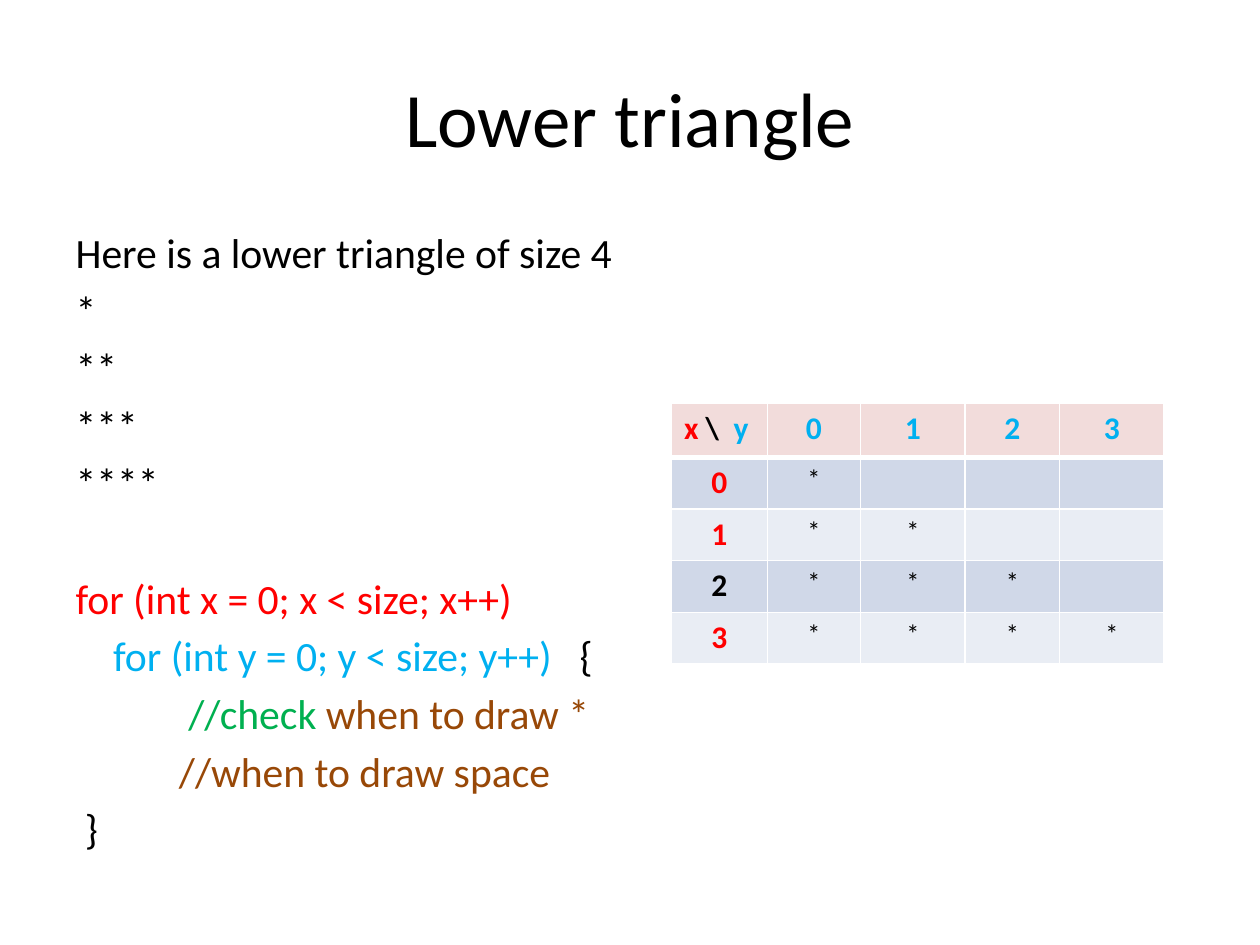
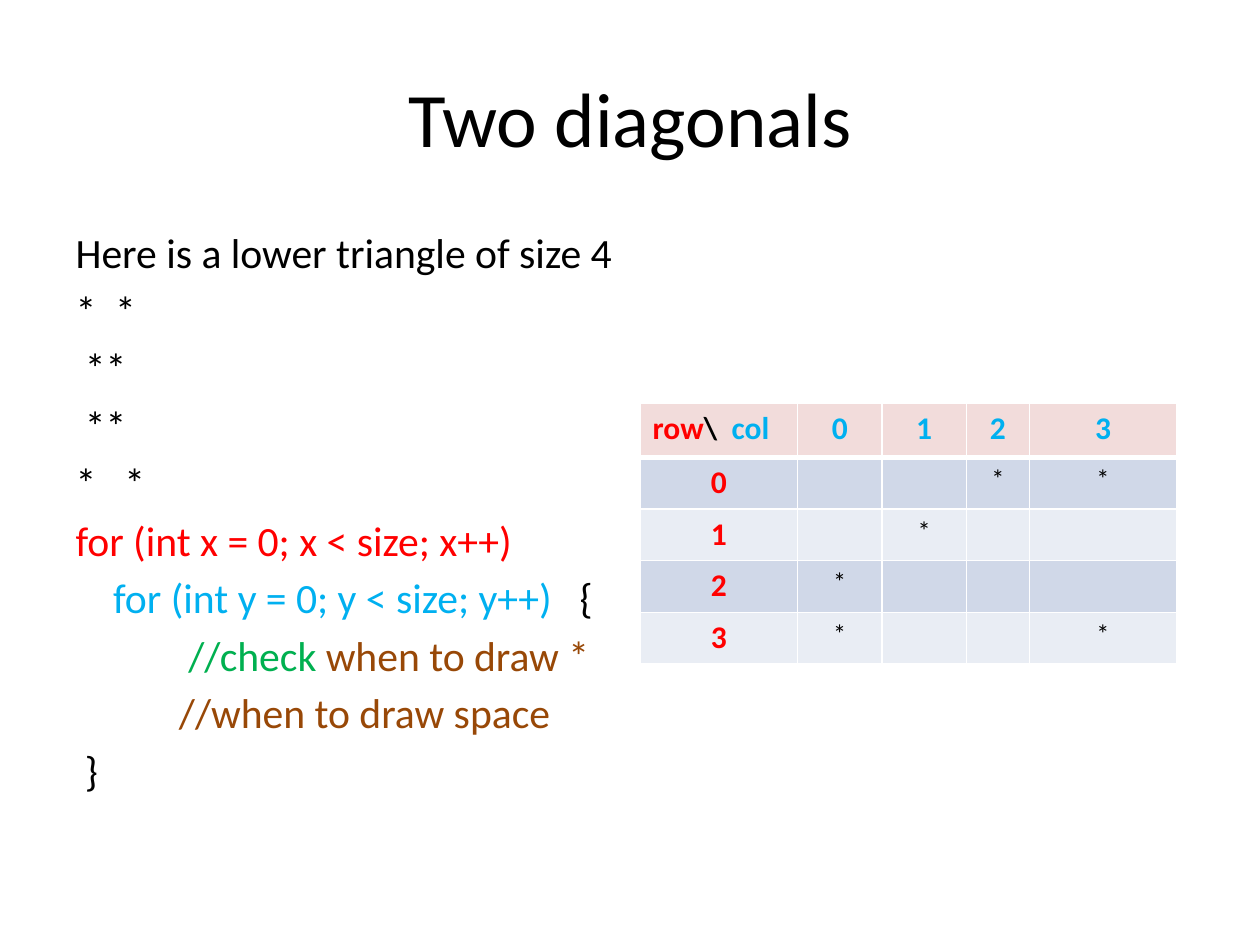
from lxml import etree
from pptx import Presentation
from pptx import util as u
from pptx.dml.color import RGBColor
from pptx.enum import text
from pptx.oxml.ns import qn

COLORS = {
    "ink": "000000", "outer": "FF0000", "inner": "00B0F0",
    "check": "00B050", "comment": "984807", "line": "FFFFFF",
    "header": "F2DCDB", "odd": "D0D8E8", "even": "E9EDF4",
}
FONT = "Calibri"
WIDTH, HEIGHT = u.Inches(10), u.Inches(7.5)

# Regions as shares of the slide: left, top, width, height
TITLE_BOX = (0.05, 0.04, 0.9, 1 / 6)
BODY_BOX = (0.05, 0.7 / 3, 0.475, 0.66)
TABLE_TOP = 3.2 / 7.5
HEADER_ROW, BODY_ROW = 0.43 / 7.5, 0.41 / 7.5

LINE_GAP, BLOCK_GAP = 4.3, 37.6  # points before a line, before a new block

# Lines are lists of (wording, colour name)
INTRO = [("Here is a lower triangle of size 4", "ink")]
LOOP = [
    [("for (int x = 0; x < size; x++)", "outer")],
    [("    ", "ink"), ("for (int y = 0; y < size; y++)", "inner"), ("\t{", "ink")],
    [("            ", "comment"), ("//check ", "check"), ("when to draw *", "comment")],
    [("           //when to draw space", "comment")],
    [(" }", "ink")],
]

PAGES = [
    dict(title="Lower triangle", pattern=["*", "**", "***", "****"],
         loop_gap=BLOCK_GAP, left=0.533,
         columns=[0.076, 0.074, 0.083, 0.075, 0.083],
         corner=[("x", "outer"), (" \\  ", "ink"), ("y", "inner")],
         stars=["*", "**", "***", "****"], plain_rows=[2]),
    dict(title="Two diagonals", pattern=["*  *", " **", " **", "*   *"],
         loop_gap=LINE_GAP, left=0.508,
         columns=[0.125, 0.067, 0.067, 0.05, 0.117],
         corner=[("row", "outer"), ("\\  ", "ink"), ("col", "inner")],
         stars=["  **", " *", "*", "*  *"], plain_rows=[]),
]


def across(share):
    return round(WIDTH * share)


def down(share):
    return round(HEIGHT * share)


def place(shape, box):
    left, top, width, height = box
    shape.left, shape.top = across(left), down(top)
    shape.width, shape.height = across(width), down(height)


def write(para, spans, size, bold=False):
    for wording, color in spans:
        span = para.add_run()
        span.text = wording
        span.font.name, span.font.size, span.font.bold = FONT, u.Pt(size), bold
        span.font.color.rgb = RGBColor.from_string(COLORS[color])


def add_title(page, wording):
    title = page.shapes.title
    place(title, TITLE_BOX)
    title.text_frame.vertical_anchor = text.MSO_ANCHOR.MIDDLE
    para = title.text_frame.paragraphs[0]
    para.alignment = text.PP_ALIGN.CENTER
    write(para, [(wording, "ink")], 44)


def add_body(page, pattern, loop_gap):
    body = page.placeholders[1]
    place(body, BODY_BOX)
    frame = body.text_frame
    frame.auto_size = text.MSO_AUTO_SIZE.NONE
    lines = [INTRO] + [[(row, "ink")] for row in pattern] + LOOP
    for number, spans in enumerate(lines):
        para = frame.add_paragraph() if number else frame.paragraphs[0]
        # No bullet and no hanging indent
        props = para._p.get_or_add_pPr()
        props.set("marL", "0")
        props.set("indent", "0")
        etree.SubElement(props, qn("a:buNone"))
        gap = loop_gap if spans is LOOP[0] else LINE_GAP
        para.space_before = u.Pt(gap if number else 0)
        write(para, spans, 23.8)


def style_cell(cell, row, fill):
    # Borders come before the fill in the cell's properties
    props = cell._tc.get_or_add_tcPr()
    for side in "LRTB":
        heavy = (row, side) in ((0, "B"), (1, "T"))
        line = etree.SubElement(props, qn("a:ln" + side), w=str(u.Pt(3 if heavy else 1)))
        solid = etree.SubElement(line, qn("a:solidFill"))
        etree.SubElement(solid, qn("a:srgbClr"), val=COLORS["line"])
    cell.fill.solid()
    cell.fill.fore_color.rgb = RGBColor.from_string(COLORS[fill])


def add_star_table(page, left, columns, corner, stars, plain_rows):
    count = len(stars) + 1
    table = page.shapes.add_table(
        count, len(columns), across(left), down(TABLE_TOP), across(sum(columns)),
        down(HEADER_ROW + BODY_ROW * len(stars))).table
    for column, share in zip(table.columns, columns):
        column.width = across(share)
    for row in range(count):
        table.rows[row].height = down(BODY_ROW if row else HEADER_ROW)
        fill = "header" if row == 0 else "odd" if row % 2 else "even"
        for col in range(len(columns)):
            cell = table.cell(row, col)
            style_cell(cell, row, fill)
            para = cell.text_frame.paragraphs[0]
            if row == col == 0:
                write(para, corner, 18, True)
                continue
            para.alignment = text.PP_ALIGN.CENTER
            if row == 0:
                write(para, [(str(col - 1), "inner")], 18, True)
            elif col == 0:
                color = "ink" if row - 1 in plain_rows else "outer"
                write(para, [(str(row - 1), color)], 18, True)
            elif stars[row - 1][col - 1:col] == "*":
                write(para, [("*", "ink")], 15)


def add_page(deck, title, pattern, loop_gap, **table):
    page = deck.slides.add_slide(deck.slide_layouts[1])
    add_title(page, title)
    add_body(page, pattern, loop_gap)
    add_star_table(page, **table)


def main():
    deck = Presentation()
    deck.slide_width, deck.slide_height = WIDTH, HEIGHT
    for content in PAGES:
        add_page(deck, **content)
    deck.save("out.pptx")


if __name__ == "__main__":
    main()
